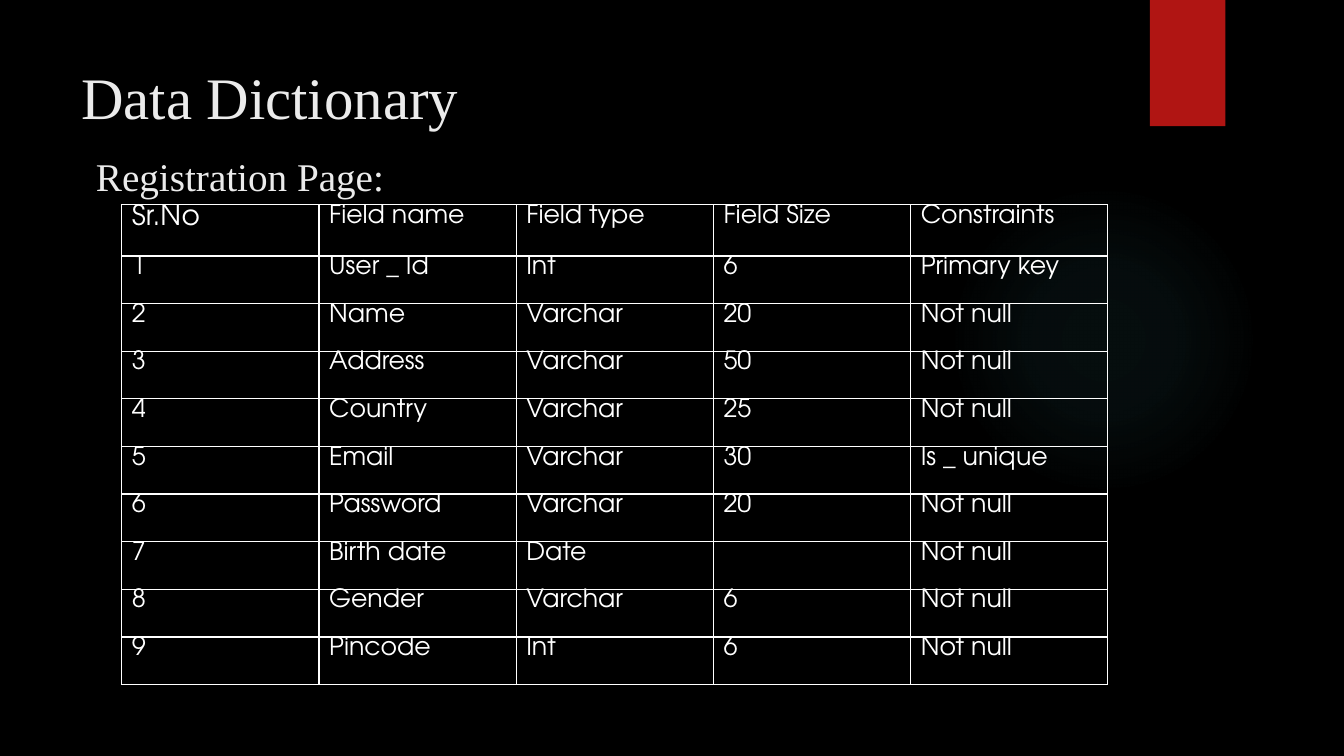
"""Build the data dictionary slide with the registration page table."""
import pptx
import pptx.dml.color
import pptx.enum.shapes
import pptx.oxml
import pptx.oxml.ns
import pptx.util

Cm = pptx.util.Cm
Pt = pptx.util.Pt
RGB = pptx.dml.color.RGBColor
SHAPE = pptx.enum.shapes.MSO_SHAPE
BLACK = RGB(0x00, 0x00, 0x00)
WHITE = RGB(0xFF, 0xFF, 0xFF)
PALE = RGB(0xEB, 0xEB, 0xEB)
RED = RGB(0xB0, 0x15, 0x13)
TEAL = RGB(0x50, 0xB9, 0xC1)
SERIF = "Times New Roman"
SANS = "TeX Gyre Adventor"
NS = pptx.oxml.ns.nsdecls("a")

ROWS = [
    ("Sr.No", "Field name", "Field type", "Field Size", "Constraints"),
    ("1", "User _ Id", "Int", "6", "Primary key"),
    ("2", "Name", "Varchar", "20", "Not null"),
    ("3", "Address", "Varchar", "50", "Not null"),
    ("4", "Country", "Varchar", "25", "Not null"),
    ("5", "Email", "Varchar", "30", "Is _ unique"),
    ("6", "Password", "Varchar", "20", "Not null"),
    ("7", "Birth date", "Date", "", "Not null"),
    ("8", "Gender", "Varchar", "6", "Not null"),
    ("9", "Pincode", "Int", "6", "Not null"),
]


def style(para, font, size, color):
    for run in para.runs:
        run.font.name = font
        run.font.size = Pt(size)
        run.font.color.rgb = color


deck = pptx.Presentation()
deck.slide_width = Cm(33.87)
deck.slide_height = Cm(19.05)
slide = deck.slides.add_slide(deck.slide_layouts[6])
slide.background.fill.solid()
slide.background.fill.fore_color.rgb = BLACK

glow = slide.shapes.add_shape(SHAPE.OVAL, Cm(23.9), Cm(4.65), Cm(7.82), Cm(7.82))
glow.shadow.inherit = False
glow.line.fill.background()
stops = "".join(
    f'<a:gs pos="{pos * 1000}"><a:srgbClr val="{TEAL}">'
    f'<a:alpha val="{alpha * 1000}"/></a:srgbClr></a:gs>'
    for pos, alpha in [(0, 7), (36, 6), (69, 0), (100, 0)]
)
glow.fill.background()
blank = glow._element.spPr.find(pptx.oxml.ns.qn("a:noFill"))
blank.addprevious(pptx.oxml.parse_xml(
    f'<a:gradFill {NS}><a:gsLst>{stops}</a:gsLst><a:path path="circle">'
    '<a:fillToRect l="50000" t="50000" r="50000" b="50000"/></a:path></a:gradFill>'
))
blank.getparent().remove(blank)

flag = slide.shapes.add_shape(SHAPE.RECTANGLE, Cm(28.98), 0, Cm(1.9), Cm(3.18))
flag.shadow.inherit = False
flag.line.fill.background()
flag.fill.solid()
flag.fill.fore_color.rgb = RED

title = slide.shapes.add_textbox(Cm(1.8), Cm(1.27), Cm(26.14), Cm(3.27))
frame = title.text_frame
frame.word_wrap = True
frame.margin_top = Cm(0.25)
frame.text = "Data Dictionary\nRegistration Page:"
head, sub = frame.paragraphs
style(head, SERIF, 42, PALE)
style(sub, SERIF, 28, PALE)
sub.space_before = Pt(15)
sub._p.get_or_add_pPr().set("marL", str(Cm(0.37)))

table = slide.shapes.add_table(
    len(ROWS), len(ROWS[0]), Cm(3.07), Cm(5.16), Cm(24.84), Cm(12.11)
).table
table.first_row = False
table.horz_banding = False
for col in table.columns:
    col.width = Cm(4.97)
for r, texts in enumerate(ROWS):
    table.rows[r].height = Cm(1.2 if r else 1.29)
    for c, text in enumerate(texts):
        cell = table.cell(r, c)
        cell.margin_top = cell.margin_bottom = 0
        cell.text_frame.text = text
        style(cell.text_frame.paragraphs[0], SANS, 18 if r or c else 20, WHITE)
        props = cell._tc.get_or_add_tcPr()
        for side in "LRTB":
            props.append(pptx.oxml.parse_xml(
                f'<a:ln{side} {NS} w="{Pt(1)}"><a:solidFill>'
                f'<a:srgbClr val="{WHITE}"/></a:solidFill></a:ln{side}>'
            ))
        cell.fill.background()

deck.save("out.pptx")
